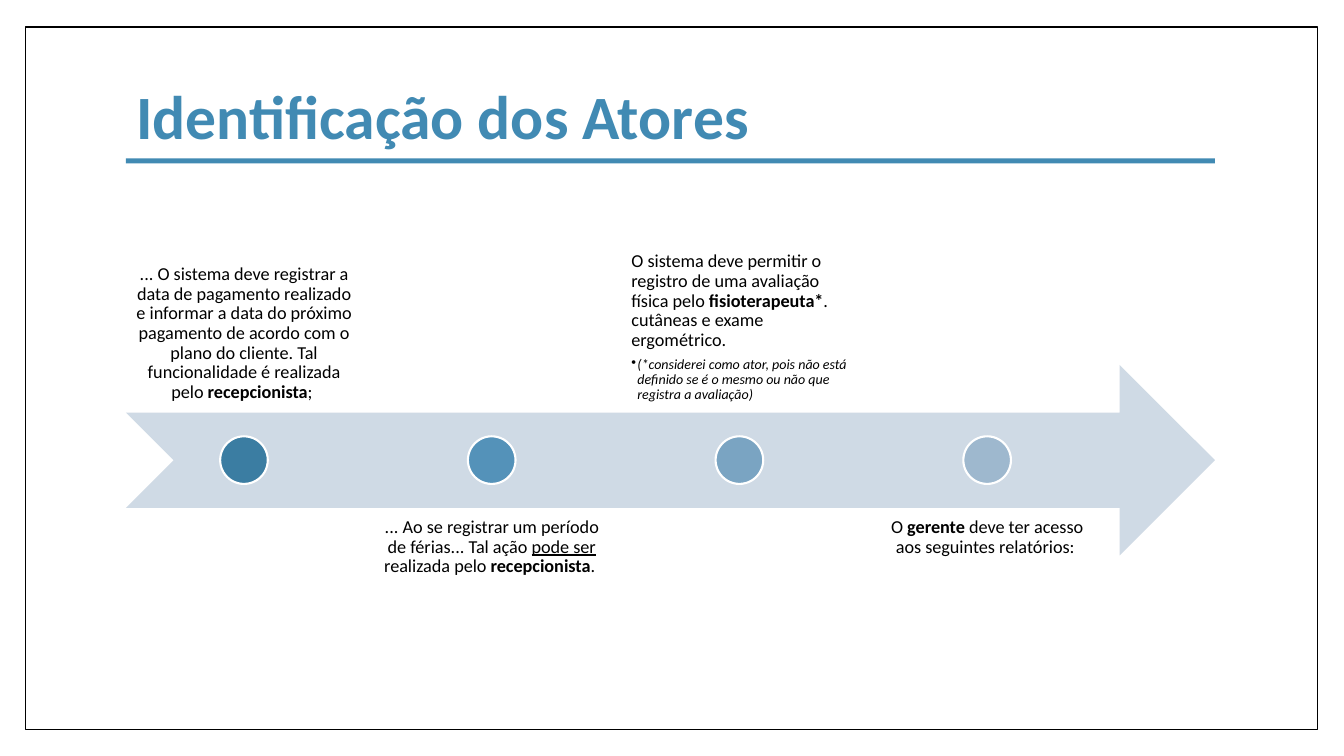
from dataclasses import dataclass

from lxml import etree
from pptx import Presentation
from pptx.dml.color import RGBColor
from pptx.enum.shapes import MSO_SHAPE
from pptx.enum.text import MSO_ANCHOR, MSO_AUTO_SIZE, PP_ALIGN
from pptx.oxml.ns import qn
from pptx.util import Inches, Pt

RECT, OVAL = MSO_SHAPE.RECTANGLE, MSO_SHAPE.OVAL
ARROW = MSO_SHAPE.NOTCHED_RIGHT_ARROW
TOP, MIDDLE, BOTTOM = MSO_ANCHOR.TOP, MSO_ANCHOR.MIDDLE, MSO_ANCHOR.BOTTOM
LEFT, CENTER = PP_ALIGN.LEFT, PP_ALIGN.CENTER

FONT = "Calibri"
BLACK, WHITE, BLUE, PALE = "000000", "FFFFFF", "418AB3", "CFDAE5"
MARGIN, CONTENT_W = 1.25, 10.8
ARROW_TOP, ARROW_H = 3.62, 1.89
STEP_W = 2.34
PITCH = STEP_W * 1.05
DOT = ARROW_H / 4


@dataclass
class Span:
    text: str
    bold: bool = False
    italic: bool = False
    underline: bool = False


@dataclass
class Step:
    color: str
    spans: list[Span]
    align: PP_ALIGN = CENTER
    note: str = ""


STEPS = [
    Step("3B7DA2", [
        Span("... O sistema deve registrar a data de pagamento realizado e informar "
             "a data do próximo pagamento de acordo com o plano do cliente. "
             "Tal funcionalidade é realizada pelo "),
        Span("recepcionista", bold=True),
        Span("; "),
    ]),
    Step("5492B9", [
        Span("... Ao se registrar um período de férias... Tal ação "),
        Span("pode ser", underline=True),
        Span(" realizada pelo "),
        Span("recepcionista", bold=True),
        Span(". "),
    ]),
    Step("7AA4C2", [
        Span("O sistema deve permitir o registro de uma avaliação física pelo "),
        Span("fisioterapeuta*", bold=True),
        Span(". cutâneas e exame ergométrico."),
    ], LEFT, "(*considerei como ator, pois não está definido se é o mesmo ou não "
             "que registra a avaliação)"),
    Step("9EB8CE", [
        Span("O "),
        Span("gerente", bold=True),
        Span(" deve ter acesso aos seguintes relatórios: "),
    ]),
]


def rgb(color: str) -> RGBColor:
    return RGBColor.from_string(color)


def place(sp, x: float, y: float, w: float, h: float) -> None:
    sp.left, sp.top, sp.width, sp.height = (Inches(v) for v in (x, y, w, h))


def add_shape(slide, kind, x: float, y: float, w: float, h: float,
              fill: str = "", line: str = "", line_w: float = 1):
    sp = slide.shapes.add_shape(kind, Inches(x), Inches(y), Inches(w), Inches(h))
    sp.shadow.inherit = False
    if fill:
        sp.fill.solid()
        sp.fill.fore_color.rgb = rgb(fill)
    else:
        sp.fill.background()
    if line:
        sp.line.color.rgb = rgb(line)
        sp.line.width = Pt(line_w)
    else:
        sp.line.fill.background()
    return sp


def add_run(p, span: Span, size: float, color: str = BLACK) -> None:
    r = p.add_run()
    r.text = span.text
    f = r.font
    f.name, f.size, f.color.rgb = FONT, Pt(size), rgb(color)
    f.bold, f.italic, f.underline = span.bold, span.italic, span.underline


def format_paragraph(p, align: PP_ALIGN, after: float = 0) -> None:
    p.alignment = align
    p.line_spacing = 0.9
    p.space_before, p.space_after = Pt(0), Pt(after)


def add_bullet(p, indent: float) -> None:
    pPr = p._p.get_or_add_pPr()
    pPr.set("marL", str(Inches(indent)))
    pPr.set("indent", str(-Inches(indent)))
    etree.SubElement(pPr, qn("a:buChar")).set("char", "•")


def add_title(slide, text: str) -> None:
    title = slide.shapes.title
    place(title, MARGIN, 0.67, CONTENT_W, 1.04)
    tf = title.text_frame
    tf.auto_size, tf.vertical_anchor = MSO_AUTO_SIZE.NONE, MIDDLE
    p = tf.paragraphs[0]
    format_paragraph(p, LEFT)
    add_run(p, Span(text, bold=True), 44, BLUE)
    add_shape(slide, RECT, MARGIN, 1.57, CONTENT_W, 0.05, BLUE)


def add_step(slide, i: int, step: Step) -> None:
    """Draws the dot on the arrow and its text, above and below by turns."""
    x = MARGIN + i * PITCH
    above = i % 2 == 0
    y = ARROW_TOP + ARROW_H * (-0.75 if above else 0.75)
    tb = slide.shapes.add_textbox(Inches(x), Inches(y), Inches(STEP_W), Inches(ARROW_H))
    tf = tb.text_frame
    tf.word_wrap = True
    tf.vertical_anchor = BOTTOM if above else TOP
    tf.margin_left = tf.margin_right = tf.margin_top = tf.margin_bottom = Inches(0.1)
    p = tf.paragraphs[0]
    format_paragraph(p, step.align, 4.55)
    for span in step.spans:
        add_run(p, span, 13)
    if step.note:
        p = tf.add_paragraph()
        format_paragraph(p, step.align, 1.5)
        p.level = 1
        add_bullet(p, 0.06)
        add_run(p, Span(step.note, italic=True), 10)
    add_shape(slide, OVAL, x + (STEP_W - DOT) / 2, ARROW_TOP + (ARROW_H - DOT) / 2,
              DOT, DOT, step.color, WHITE, 1.5)


def main() -> None:
    prs = Presentation()
    prs.slide_width, prs.slide_height = Inches(13.33), Inches(7.5)
    slide = prs.slides.add_slide(prs.slide_layouts[5])
    add_shape(slide, RECT, 0.25, 0.27, 12.82, 6.97, line=BLACK)
    add_title(slide, "Identificação dos Atores")
    add_shape(slide, ARROW, MARGIN, ARROW_TOP, CONTENT_W, ARROW_H, PALE)
    for i, step in enumerate(STEPS):
        add_step(slide, i, step)
    prs.save("out.pptx")


if __name__ == "__main__":
    main()
